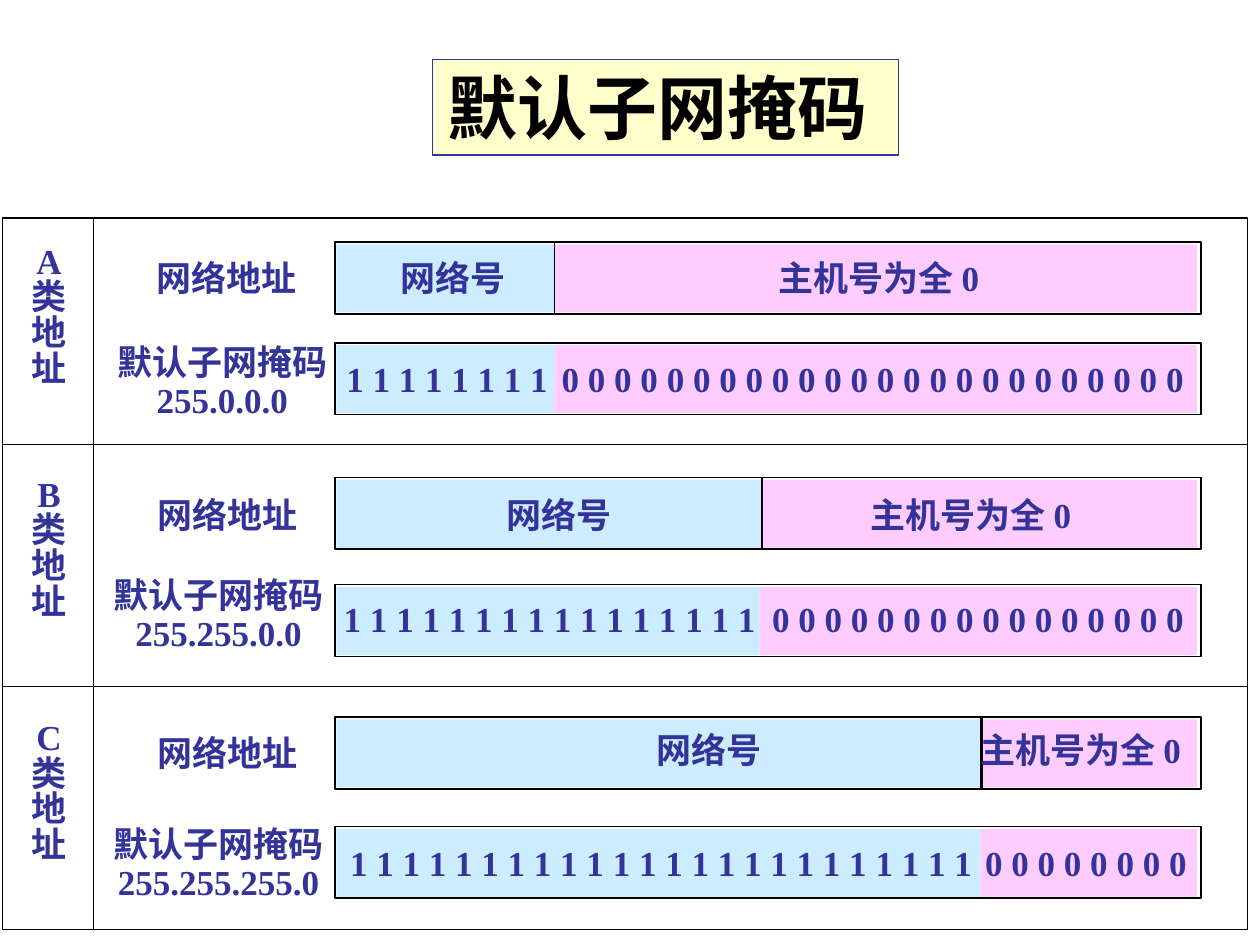
from dataclasses import dataclass

from lxml.etree import SubElement
from pptx import Presentation
from pptx.dml.color import RGBColor
from pptx.enum.shapes import MSO_CONNECTOR, MSO_SHAPE
from pptx.enum.text import MSO_ANCHOR, MSO_AUTO_SIZE, PP_ALIGN
from pptx.oxml.ns import qn
from pptx.util import Inches, Pt

COLORS = {
    "ink": "333399",
    "line": "000000",
    "net": "CCECFF",
    "host": "FFCCFF",
    "title": "FFFFCC",
}
LEFT, WIDTH, HEIGHT = 2.66, 6.87, 0.57
FRAME = (0.02, 1.73, 9.88, 5.65)
NET, HOST = "网络号", "主机号为全 0"
WIDTHS = {NET: 1.13, HOST: 2.03}


@dataclass
class Bar:
    """A 32-bit field: its split, and the left edges and top of its two texts."""
    top: float
    split: float
    net: float
    host: float
    text: float
    rule: float = 0


@dataclass
class Band:
    """One address class with its address bar and its mask bar."""
    name: str
    top: float
    bits: int
    mask: str
    addr: Bar
    ones: Bar
    label: tuple[float, float]
    note: tuple[float, float]


BANDS = [
    Band("A", 1.9, 8, "255.0.0.0",
         Bar(1.92, 4.4, 3.08, 6.08, 1.99, 1), Bar(2.72, 4.4, 2.65, 4.36, 2.79),
         (1.09, 1.99), (0.78, 2.69)),
    Band("B", 3.75, 16, "255.255.0.0",
         Bar(3.79, 6.05, 3.92, 6.81, 3.87, 1), Bar(4.64, 6.03, 2.63, 6.03, 4.69),
         (1.1, 3.87), (0.75, 4.54)),
    Band("C", 5.68, 24, "255.255.255.0",
         Bar(5.69, 7.79, 5.11, 7.68, 5.73, 1.5), Bar(6.56, 7.78, 2.68, 7.72, 6.63),
         (1.1, 5.76), (0.75, 6.52)),
]


def rgb(key: str) -> RGBColor:
    return RGBColor.from_string(COLORS[key])


def add_box(slide, x: float, y: float, w: float, h: float,
            fill: str = "", line: float = 0) -> None:
    box = slide.shapes.add_shape(
        MSO_SHAPE.RECTANGLE, Inches(x), Inches(y), Inches(w), Inches(h))
    box.shadow.inherit = False
    if fill:
        box.fill.solid()
        box.fill.fore_color.rgb = rgb(fill)
    else:
        box.fill.background()
    if line:
        box.line.color.rgb = rgb("line")
        box.line.width = Pt(line)
    else:
        box.line.fill.background()


def add_line(slide, x1: float, y1: float, x2: float, y2: float,
             width: float = 0.75) -> None:
    line = slide.shapes.add_connector(
        MSO_CONNECTOR.STRAIGHT, Inches(x1), Inches(y1), Inches(x2), Inches(y2))
    line.line.color.rgb = rgb("line")
    line.line.width = Pt(width)
    SubElement(line._element.spPr, qn("a:effectLst"))


def add_text(slide, x: float, y: float, w: float, h: float, lines: list[str],
             align=PP_ALIGN.LEFT, space: float = 1.0) -> None:
    box = slide.shapes.add_textbox(Inches(x), Inches(y), Inches(w), Inches(h))
    frame = box.text_frame
    frame.word_wrap = True
    frame.auto_size = MSO_AUTO_SIZE.NONE
    for i, line in enumerate(lines):
        para = frame.paragraphs[0] if i == 0 else frame.add_paragraph()
        para.alignment = align
        para.line_spacing = space
        run = para.add_run()
        run.text = line
        run.font.size = Pt(20)
        run.font.bold = True
        run.font.name = "Times New Roman"
        run.font.color.rgb = rgb("ink")


def add_bar(slide, bar: Bar, net: str, host: str) -> None:
    start, end = LEFT + 0.01, LEFT + WIDTH - 0.03
    for x, stop, fill in ((start, bar.split, "net"), (bar.split, end, "host")):
        add_box(slide, x, bar.top + 0.02, stop - x, 0.54, fill)
    add_box(slide, LEFT, bar.top, WIDTH, HEIGHT, line=1)
    if bar.rule:
        add_line(slide, bar.split, bar.top, bar.split, bar.top + HEIGHT, bar.rule)
    for x, text in ((bar.net, net), (bar.host, host)):
        # Each bit and its gap take 0.21 inch, plus insets and some slack
        width = WIDTHS.get(text, 0.3 + 0.105 * (len(text) + 1))
        add_text(slide, x, bar.text, width, 0.43, [text])


def add_band(slide, band: Band) -> None:
    mid = PP_ALIGN.CENTER
    add_text(slide, 0.1, band.top, 0.58, 1.24, [band.name, *"类地址"], mid, 0.85)
    add_text(slide, *band.label, 1.41, 0.43, ["网络地址"], mid)
    add_text(slide, *band.note, 1.97, 0.7, ["默认子网掩码", band.mask], mid, 0.9)
    add_bar(slide, band.addr, NET, HOST)
    add_bar(slide, band.ones, " ".join("1" * band.bits),
            " ".join("0" * (32 - band.bits)))


def add_title(slide) -> None:
    title = slide.shapes.title
    title.left, title.top = Inches(3.43), Inches(0.47)
    title.width, title.height = Inches(3.7), Inches(0.76)
    title.fill.solid()
    title.fill.fore_color.rgb = rgb("title")
    title.line.color.rgb = rgb("ink")
    title.line.width = Pt(0.75)
    frame = title.text_frame
    frame.auto_size = MSO_AUTO_SIZE.NONE
    frame.vertical_anchor = MSO_ANCHOR.BOTTOM
    para = frame.paragraphs[0]
    para.alignment = PP_ALIGN.CENTER
    run = para.add_run()
    run.text = "默认子网掩码 "
    run.font.size = Pt(40)
    run.font.bold = True
    run.font.name = "Arial"
    run.font.color.rgb = rgb("line")


def main() -> None:
    deck = Presentation()
    deck.slide_width, deck.slide_height = Inches(10), Inches(7.5)
    slide = deck.slides.add_slide(deck.slide_layouts[5])
    add_title(slide)
    x, y, w, h = FRAME
    add_box(slide, x, y, w, h, line=0.75)
    for row in (3.53, 5.45):
        add_line(slide, x, row, x + w, row)
    add_line(slide, 0.74, y, 0.74, y + h)
    for band in BANDS:
        add_band(slide, band)
    deck.save("out.pptx")


if __name__ == "__main__":
    main()
